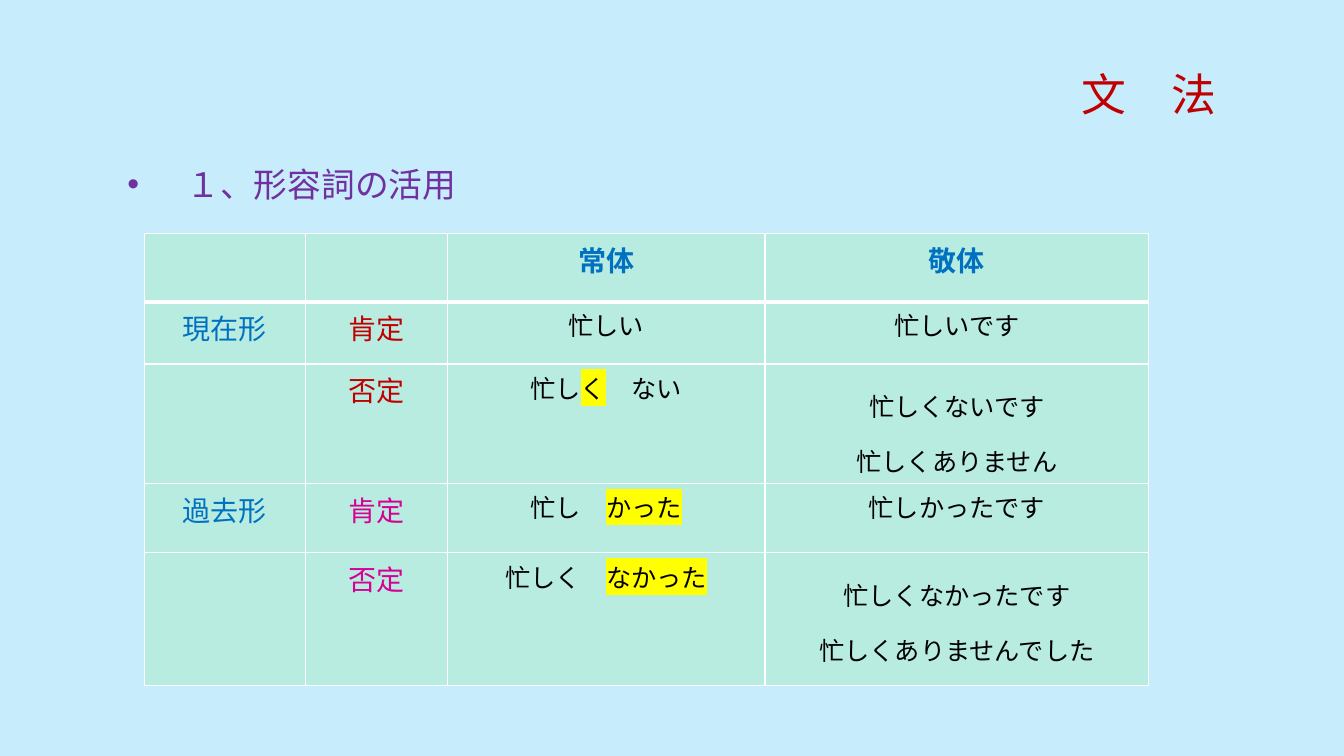
from lxml.etree import SubElement
from pptx import Presentation
from pptx.dml.color import RGBColor
from pptx.enum.text import MSO_ANCHOR, PP_ALIGN
from pptx.oxml.ns import qn
from pptx.util import Pt

SKY = RGBColor(0xC7, 0xEC, 0xFB)
MINT = RGBColor(0xB9, 0xEC, 0xE1)
WHITE = RGBColor(0xFF, 0xFF, 0xFF)
BLACK = RGBColor(0, 0, 0)
RED = RGBColor(0xC0, 0, 0)
BLUE = RGBColor(0, 0x70, 0xC0)
PINK = RGBColor(0xD6, 0, 0x93)
PURPLE = RGBColor(0x70, 0x30, 0xA0)
YELLOW = RGBColor(0xFF, 0xFF, 0)

LATIN = "League Spartan"
ASIAN = "Noto Sans CJK SC"

COLS = [115, 101.5, 227, 274]
ROWS = [48.5, 44.5, 85.5, 49.5, 95]
# A "|" in a cell opens or closes a highlight; a line break starts a paragraph.
WORDS = [
    ["", "", "常体", "敬体"],
    ["現在形", "肯定", "忙しい", "忙しいです"],
    ["", "否定", "忙し|く|　ない", "忙しくないです\n忙しくありません"],
    ["過去形", "肯定", "忙し　|かった|", "忙しかったです"],
    ["", "否定", "忙しく　|なかった|", "忙しくなかったです\n忙しくありませんでした"],
]


def write(para, text, size=18, color=BLACK, bold=False, font=LATIN,
          align=PP_ALIGN.LEFT, space=1.0, mark=None):
    para.alignment = align
    para.line_spacing = space
    run = para.add_run()
    run.text = text
    run.font.size = Pt(size)
    run.font.bold = bold
    run.font.color.rgb = color
    props = run._r.get_or_add_rPr()
    if mark is not None:
        light = SubElement(props, qn("a:highlight"))
        SubElement(light, qn("a:srgbClr"), val=str(mark))
    run.font.name = font
    SubElement(props, qn("a:ea"), typeface=ASIAN)


def add_title(slide, left, top, width, height):
    title = slide.shapes.title
    title.left, title.top = Pt(left), Pt(top)
    title.width, title.height = Pt(width), Pt(height)
    frame = title.text_frame
    frame.vertical_anchor = MSO_ANCHOR.MIDDLE
    write(frame.paragraphs[0], "文　法", size=32, color=RED,
          align=PP_ALIGN.RIGHT, space=0.9)


def add_topic(slide, left, top, width, height):
    box = slide.shapes.add_textbox(Pt(left), Pt(top), Pt(width), Pt(height))
    box.text_frame.word_wrap = True
    para = box.text_frame.paragraphs[0]
    para.space_before = Pt(10)
    for text, font in (("　１、", ASIAN), ("形容詞の活用", LATIN)):
        write(para, text, size=24.1, color=PURPLE, font=font, space=1.4)
    props = para._p.get_or_add_pPr()
    props.set("marL", str(Pt(18)))
    props.set("indent", str(-Pt(18)))
    SubElement(props, qn("a:buFont"), typeface="Arial")
    SubElement(props, qn("a:buChar"), char="•")


def edge(cell, thick):
    """Draw white borders; thick names the sides that are 3 pt wide."""
    props = cell._tc.get_or_add_tcPr()
    for place, side in enumerate("LRTB"):
        line = props.makeelement(qn(f"a:ln{side}"),
                                 {"w": str(Pt(3 if side in thick else 1))})
        fill = SubElement(line, qn("a:solidFill"))
        SubElement(fill, qn("a:srgbClr"), val=str(WHITE))
        props.insert(place, line)


def style(row, col):
    if row == 0:
        return {"size": 20, "color": BLUE, "bold": True}
    if col == 0:
        return {"size": 20, "color": BLUE}
    if col == 1:
        return {"size": 20, "color": RED if row < 3 else PINK}
    return {}


def fill_cell(cell, text, look):
    lines = text.split("\n")
    space = 1.5 if len(lines) > 1 else 1.0
    for index, line in enumerate(lines):
        frame = cell.text_frame
        para = frame.add_paragraph() if index else frame.paragraphs[0]
        for turn, part in enumerate(line.split("|")):
            if part:
                write(para, part, align=PP_ALIGN.CENTER, space=space,
                      mark=YELLOW if turn % 2 else None, **look)


def add_forms(slide, left, top):
    table = slide.shapes.add_table(
        len(ROWS), len(COLS), Pt(left), Pt(top),
        Pt(sum(COLS)), Pt(sum(ROWS))).table
    for col, width in enumerate(COLS):
        table.columns[col].width = Pt(width)
    for row, height in enumerate(ROWS):
        table.rows[row].height = Pt(height)
        for col, text in enumerate(WORDS[row]):
            cell = table.cell(row, col)
            cell.fill.solid()
            cell.fill.fore_color.rgb = MINT
            edge(cell, {0: "B", 1: "T"}.get(row, ""))
            fill_cell(cell, text, style(row, col))


def main():
    deck = Presentation()
    deck.slide_width, deck.slide_height = Pt(960), Pt(540)
    slide = deck.slides.add_slide(deck.slide_layouts[5])
    slide.background.fill.solid()
    slide.background.fill.fore_color.rgb = SKY
    add_title(slide, 84, 50.5, 792, 37)
    add_topic(slide, 84, 102, 792, 373)
    add_forms(slide, 103, 167)
    deck.save("out.pptx")


if __name__ == "__main__":
    main()
